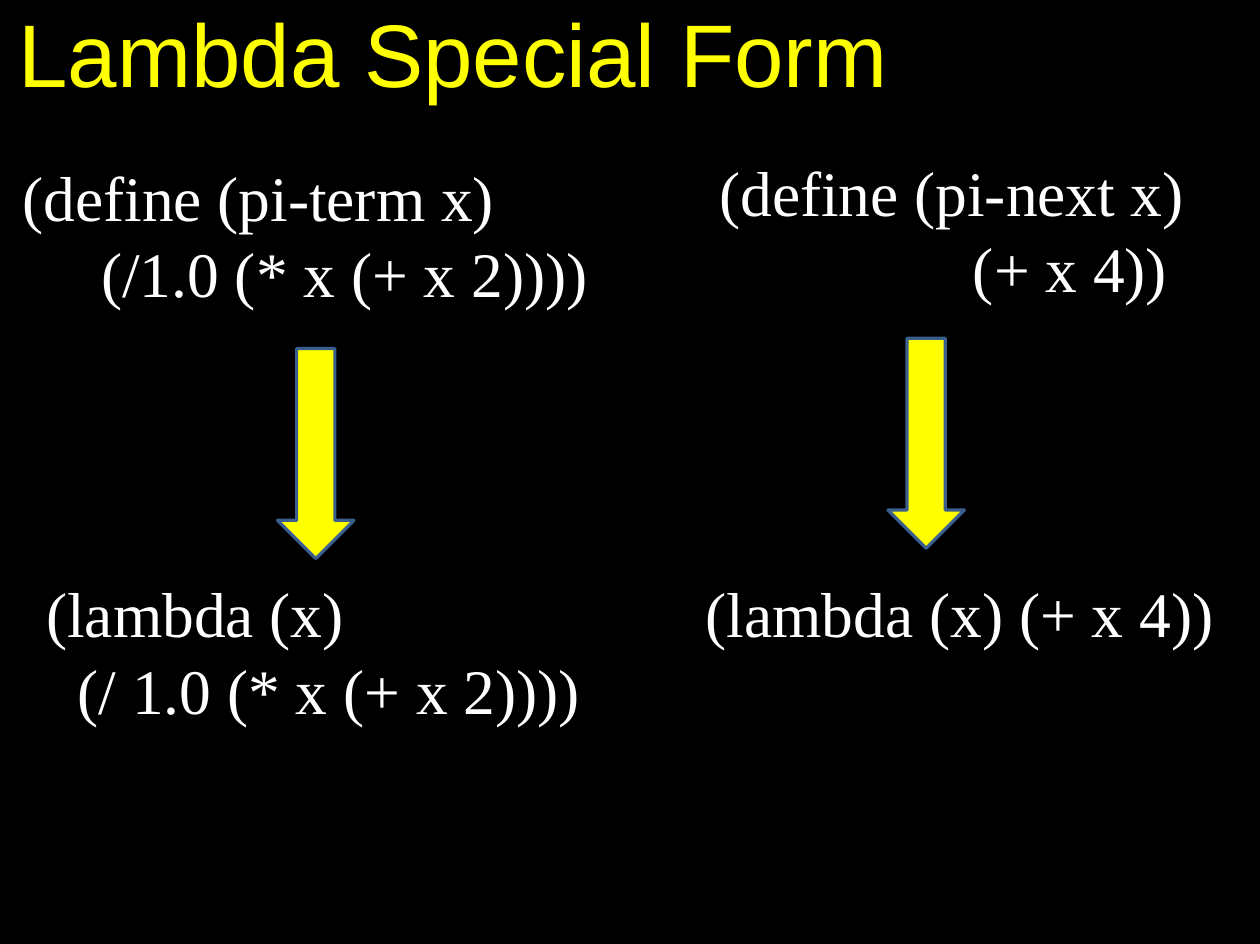
from dataclasses import dataclass

from pptx import Presentation
from pptx.dml.color import RGBColor
from pptx.enum.shapes import MSO_SHAPE
from pptx.util import Cm, Pt

DOWN = MSO_SHAPE.DOWN_ARROW


@dataclass
class Theme:
    """Colours, fonts and sizes of the slide."""
    back = RGBColor(0, 0, 0)
    head = RGBColor(255, 255, 0)
    code = RGBColor(255, 255, 255)
    edge = RGBColor(0x3A, 0x5F, 0x8C)
    head_font = "Arial"
    code_font = "Times New Roman"
    head_size = Pt(56)
    code_size = Pt(40)
    edge_width = Pt(2)


theme = Theme()


def add_text(place, pad, lines, font, size, color):
    """Add a text box whose lines are pairs of left indent (cm) and text."""
    frame = slide.shapes.add_textbox(*map(Cm, place)).text_frame
    frame.word_wrap = True
    frame.margin_left = frame.margin_right = Cm(pad)
    frame.margin_top = frame.margin_bottom = Cm(pad / 2)
    frame.text = "\n".join(text for _, text in lines)
    for para, (indent, _) in zip(frame.paragraphs, lines):
        para._p.get_or_add_pPr().set("marL", str(Cm(indent)))
        for run in para.runs:
            run.font.name = font
            run.font.size = size
            run.font.color.rgb = color


deck = Presentation()
deck.slide_width, deck.slide_height = Cm(28.01), Cm(20.99)
slide = deck.slides.add_slide(deck.slide_layouts[6])
slide.background.fill.solid()
slide.background.fill.fore_color.rgb = theme.back

add_text((0.41, -0.03, 27.08, 2.41), 0, [(0, "Lambda Special Form")],
         theme.head_font, theme.head_size, theme.head)

# Named procedures above, their lambda forms below: place, padding, lines
codes = [
    ((0.46, 3.52, 12.7, 3.45), 0,
     [(0.04, "(define (pi-term x)"), (1.79, "(/1.0 (* x (+ x 2))))")]),
    ((15.7, 3.28, 11.66, 3.68), 0.25,
     [(0.04, "(define (pi-next x)"), (5.68, "(+ x 4))")]),
    ((0.74, 12.65, 12.57, 3.68), 0.25,
     [(0.04, "(lambda (x)"), (0.74, "(/ 1.0 (* x (+ x 2))))")]),
    ((15.4, 12.65, 11.99, 1.96), 0.25,
     [(0.04, "(lambda (x) (+ x 4))")]),
]
for place, pad, lines in codes:
    add_text(place, pad, lines, theme.code_font, theme.code_size, theme.code)

for left, top in [(6.17, 7.75), (19.74, 7.52)]:
    arrow = slide.shapes.add_shape(DOWN, Cm(left), Cm(top), Cm(1.7), Cm(4.67))
    arrow.shadow.inherit = False
    arrow.fill.solid()
    arrow.fill.fore_color.rgb = theme.head
    arrow.line.color.rgb = theme.edge
    arrow.line.width = theme.edge_width

deck.save("out.pptx")
